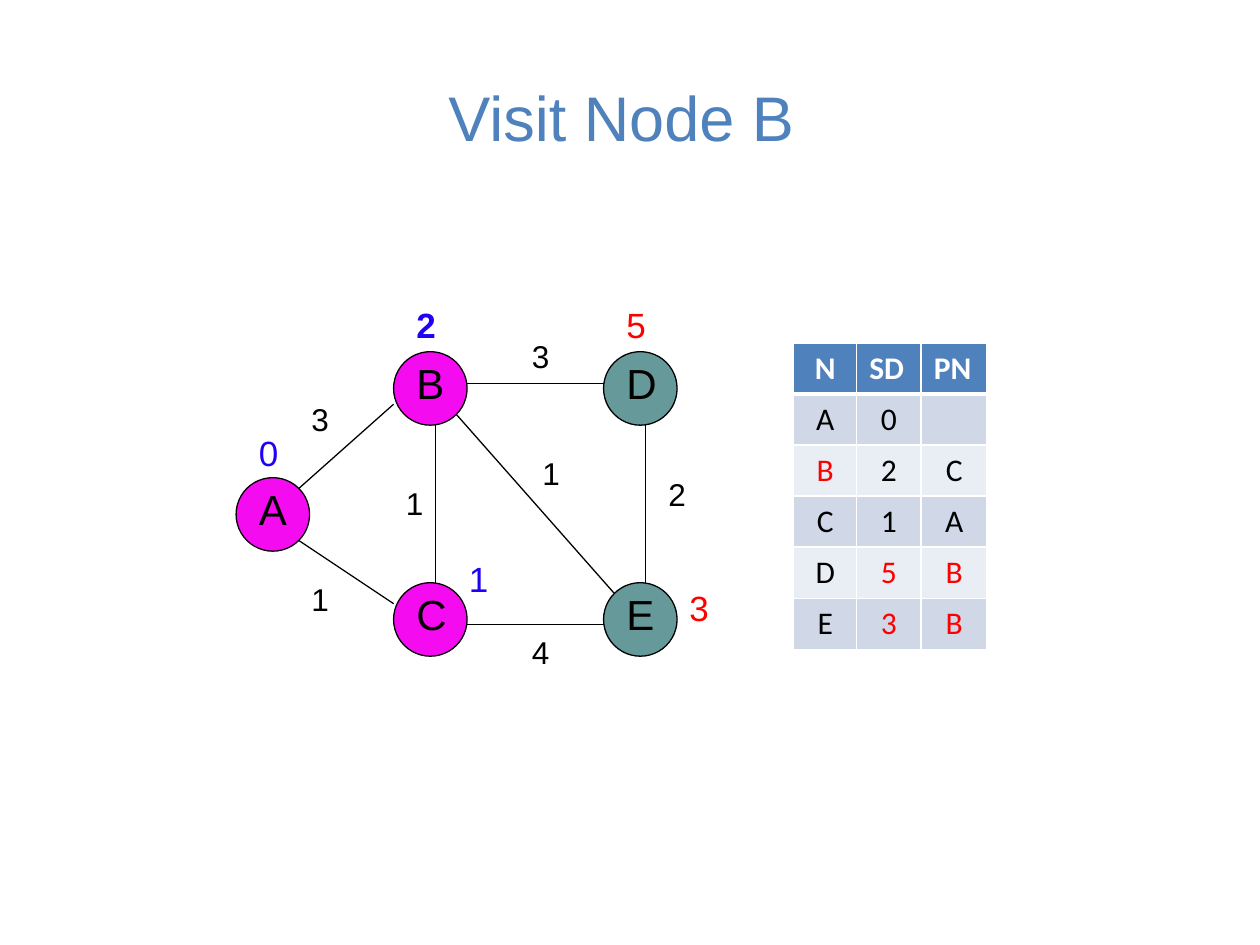
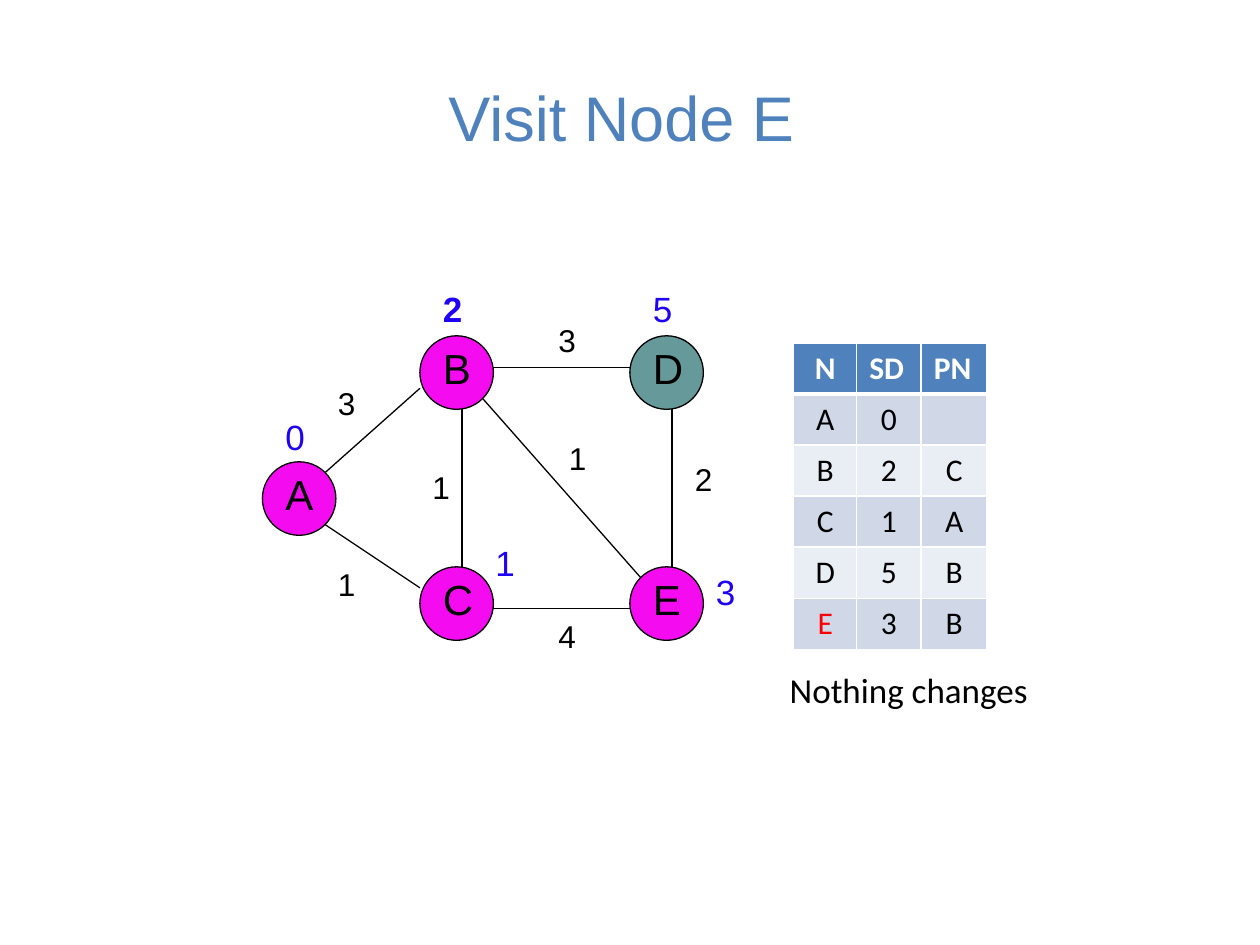
from lxml import etree
from pptx import Presentation
from pptx import util as u
from pptx.dml.color import RGBColor
from pptx.enum import shapes, text
from pptx.oxml import ns

COLORS = {
    "title": "4F81BD", "header": "4F81BD", "odd_row": "D0D8E8", "even_row": "E9EDF4",
    "white": "FFFFFF", "black": "000000", "changed": "FF0000", "settled": "1F02F6",
    "visited": "F50BEF", "unvisited": "669999",
}
FORMATS = {
    "title": {"size": u.Pt(36), "name": "Arial"},
    "node": {"size": u.Pt(24), "name": "Arial"},
    "distance": {"size": u.Pt(20), "name": "Arial"},
    "weight": {"size": u.Pt(18), "name": "Arial"},
    "remark": {"size": u.Pt(20), "name": "Calibri"},
    "header": {"size": u.Pt(18), "name": "Calibri", "bold": True},
    "cell": {"size": u.Pt(18), "name": "Calibri", "bold": False},
}

# Graph layout in grid steps of a twelfth of an inch, from the graph's own origin
STEP = 2.54 / 12
NODE_SIZE = 7
NODES = {"A": (0, 12), "B": (15, 0), "C": (15, 22), "E": (35, 22), "D": (35, 0)}
DISTANCE_SPOTS = {"B": (16, -5.2), "D": (36, -5.2), "E": (42, 21.8),
                  "C": (21, 19), "A": (1, 7)}
# Start, end, weight, place of the weight
EDGES = [
    ((6, 13), (15, 5), "3", (6, 4)),
    ((6, 18), (15, 24), "1", (6, 21.2)),
    ((22, 26), (35, 26), "4", (27, 26.2)),
    ((39, 22), (39, 7), "2", (40, 11.2)),
    ((19, 22), (19, 7), "1", (15, 12)),
    ((22, 3), (35, 3), "3", (27, -2)),
    ((21, 6), (36, 23), "1", (28, 9.2)),
]
TABLE_ROWS = [("N", "SD", "PN"), ("A", "0", ""), ("B", "2", "C"),
              ("C", "1", "A"), ("D", "5", "B"), ("E", "3", "B")]
COLUMN_WIDTHS = (1.27, 1.30, 1.33)
ROW_HEIGHT = 1.03

# What differs between the steps; changed cells are (row, column)
STEPS = [
    {"title": "Visit Node B ", "origin": (4.76, 7.09), "visited": "ABC",
     "changed_nodes": "DE", "changed_cells": {(2, 0), (4, 1), (4, 2), (5, 1), (5, 2)}},
    {"title": "Visit Node E ", "origin": (5.29, 6.77), "visited": "ABCE",
     "changed_nodes": "", "changed_cells": {(5, 0)}, "remark": "Nothing changes"},
]


def rgb(color):
    return RGBColor.from_string(COLORS[color])


class Deck:
    def __init__(self):
        self.prs = Presentation()
        self.prs.slide_width, self.prs.slide_height = u.Cm(25.4), u.Cm(19.05)
        self.slide = None
        self.origin = (0, 0)

    def style(self, paragraph, kind, color, align=text.PP_ALIGN.LEFT, **extra):
        paragraph.alignment = align
        for name, value in {**FORMATS[kind], **extra}.items():
            setattr(paragraph.font, name, value)
        paragraph.font.color.rgb = rgb(color)

    def start(self, title, origin):
        self.slide = self.prs.slides.add_slide(self.prs.slide_layouts[5])
        self.origin = origin
        heading = self.slide.shapes.title
        heading.left, heading.top = u.Cm(1.27), u.Cm(0.76)
        heading.width, heading.height = u.Cm(22.86), u.Cm(3.18)
        heading.text_frame.text = title
        heading.text_frame.vertical_anchor = text.MSO_ANCHOR.MIDDLE
        self.style(heading.text_frame.paragraphs[0], "title", "title", text.PP_ALIGN.CENTER)

    def grid(self, spot):
        return [u.Cm(start + steps * STEP) for start, steps in zip(self.origin, spot)]

    def label(self, words, kind, color, place, size, parent=None, wrap=True, **extra):
        box = (parent or self.slide).shapes.add_textbox(*place, *map(u.Cm, size))
        frame = box.text_frame
        frame.text = words
        frame.word_wrap = wrap
        frame.auto_size = text.MSO_AUTO_SIZE.SHAPE_TO_FIT_TEXT
        self.style(frame.paragraphs[0], kind, color, **extra)

    def node(self, letter, spot, fill):
        group = self.slide.shapes.add_group_shape()
        size = u.Cm(NODE_SIZE * STEP)
        circle = group.shapes.add_shape(shapes.MSO_SHAPE.OVAL, *self.grid(spot), size, size)
        circle.shadow.inherit = False
        circle.fill.solid()
        circle.fill.fore_color.rgb = rgb(fill)
        circle.line.color.rgb = rgb("black")
        circle.line.width = u.Pt(0.75)
        x, y = spot
        self.label(letter, "node", "black", self.grid((x + 1, y)), (1.27, 1.28), group)

    def edge(self, start, end):
        line = self.slide.shapes.add_connector(
            shapes.MSO_CONNECTOR.STRAIGHT, *self.grid(start), *self.grid(end))
        line.line.color.rgb = rgb("black")
        line.line.width = u.Pt(0.75)
        etree.SubElement(line._element.spPr, ns.qn("a:effectLst"))

    def borders(self, cell, row):
        widths = {"L": 1, "R": 1, "T": 3 if row == 1 else 1, "B": 3 if row == 0 else 1}
        properties = cell._tc.get_or_add_tcPr()
        for position, (side, width) in enumerate(widths.items()):
            line = etree.Element(ns.qn(f"a:ln{side}"), w=str(u.Pt(width)))
            fill = etree.SubElement(line, ns.qn("a:solidFill"))
            etree.SubElement(fill, ns.qn("a:srgbClr"), val=COLORS["white"])
            properties.insert(position, line)

    def table(self, rows, changed):
        table = self.slide.shapes.add_table(
            len(rows), len(COLUMN_WIDTHS), u.Cm(16), u.Cm(6.91),
            u.Cm(sum(COLUMN_WIDTHS)), u.Cm(ROW_HEIGHT * len(rows))).table
        for column, width in zip(table.columns, COLUMN_WIDTHS):
            column.width = u.Cm(width)
        for r, row in enumerate(rows):
            table.rows[r].height = u.Cm(ROW_HEIGHT)
            fill = "header" if r == 0 else "odd_row" if r % 2 else "even_row"
            for c, words in enumerate(row):
                cell = table.cell(r, c)
                cell.text = words
                cell.fill.solid()
                cell.fill.fore_color.rgb = rgb(fill)
                self.borders(cell, r)
                color = "white" if r == 0 else "changed" if (r, c) in changed else "black"
                align = text.PP_ALIGN.LEFT if r == 0 and c else text.PP_ALIGN.CENTER
                self.style(cell.text_frame.paragraphs[0],
                           "cell" if r else "header", color, align)


def main():
    deck = Deck()
    for step in STEPS:
        deck.start(step["title"], step["origin"])
        deck.table(TABLE_ROWS, step["changed_cells"])

        # Graph
        for letter, spot in NODES.items():
            deck.node(letter, spot, "visited" if letter in step["visited"] else "unvisited")
        for start, end, weight, spot in EDGES:
            deck.edge(start, end)
            deck.label(weight, "weight", "black", deck.grid(spot), (1.48, 1.02))

        # Shortest distances, as in the table
        distances = {name: distance for name, distance, _ in TABLE_ROWS[1:]}
        for letter, spot in DISTANCE_SPOTS.items():
            color = "changed" if letter in step["changed_nodes"] else "settled"
            deck.label(distances[letter], "distance", color, deck.grid(spot),
                       (1.48, 1.1), bold=letter == "B")

        if "remark" in step:
            deck.label(step["remark"], "remark", "black", (u.Cm(15.67), u.Cm(13.36)),
                       (5.36, 1.11), wrap=False)
    deck.prs.save("out.pptx")


if __name__ == "__main__":
    main()
